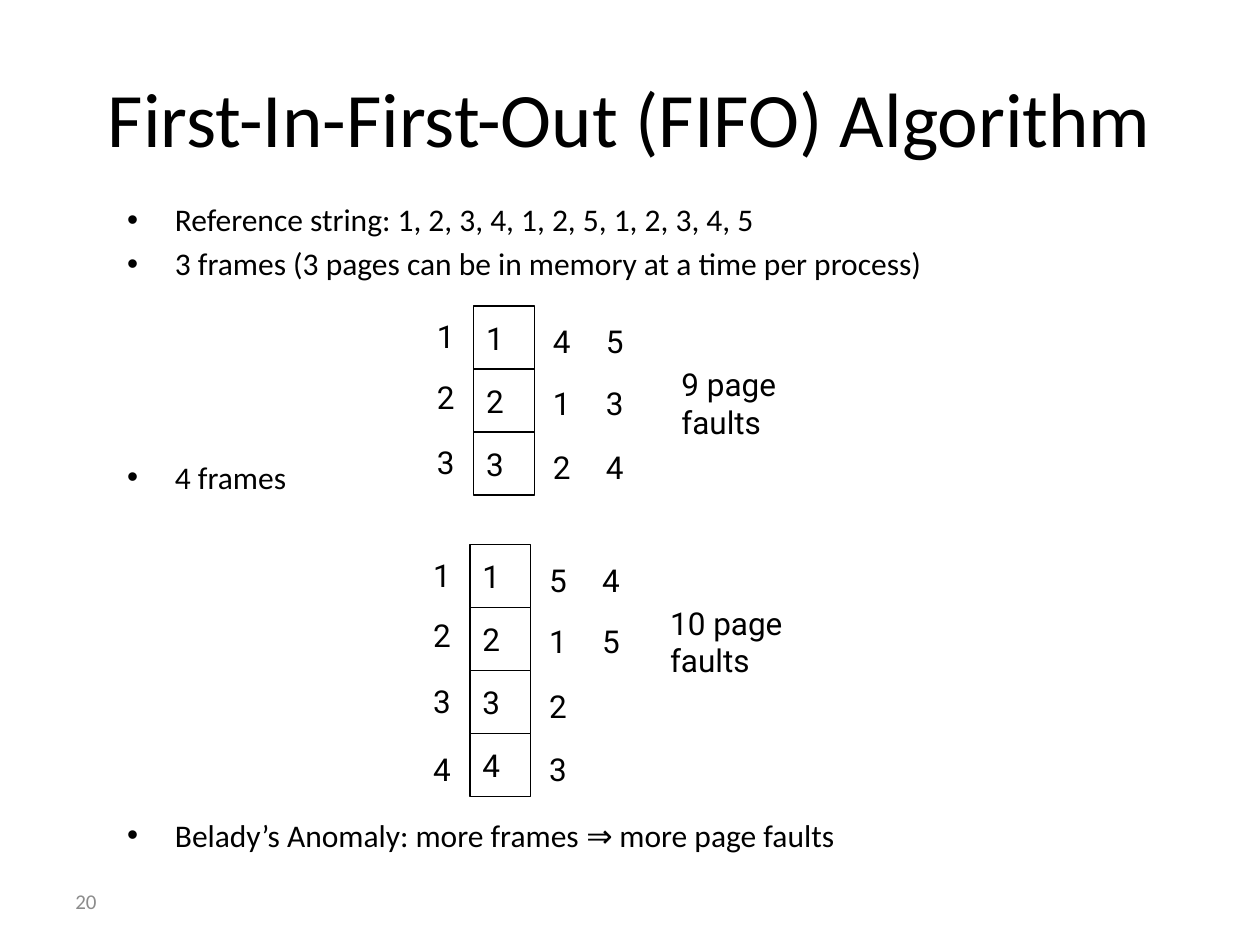
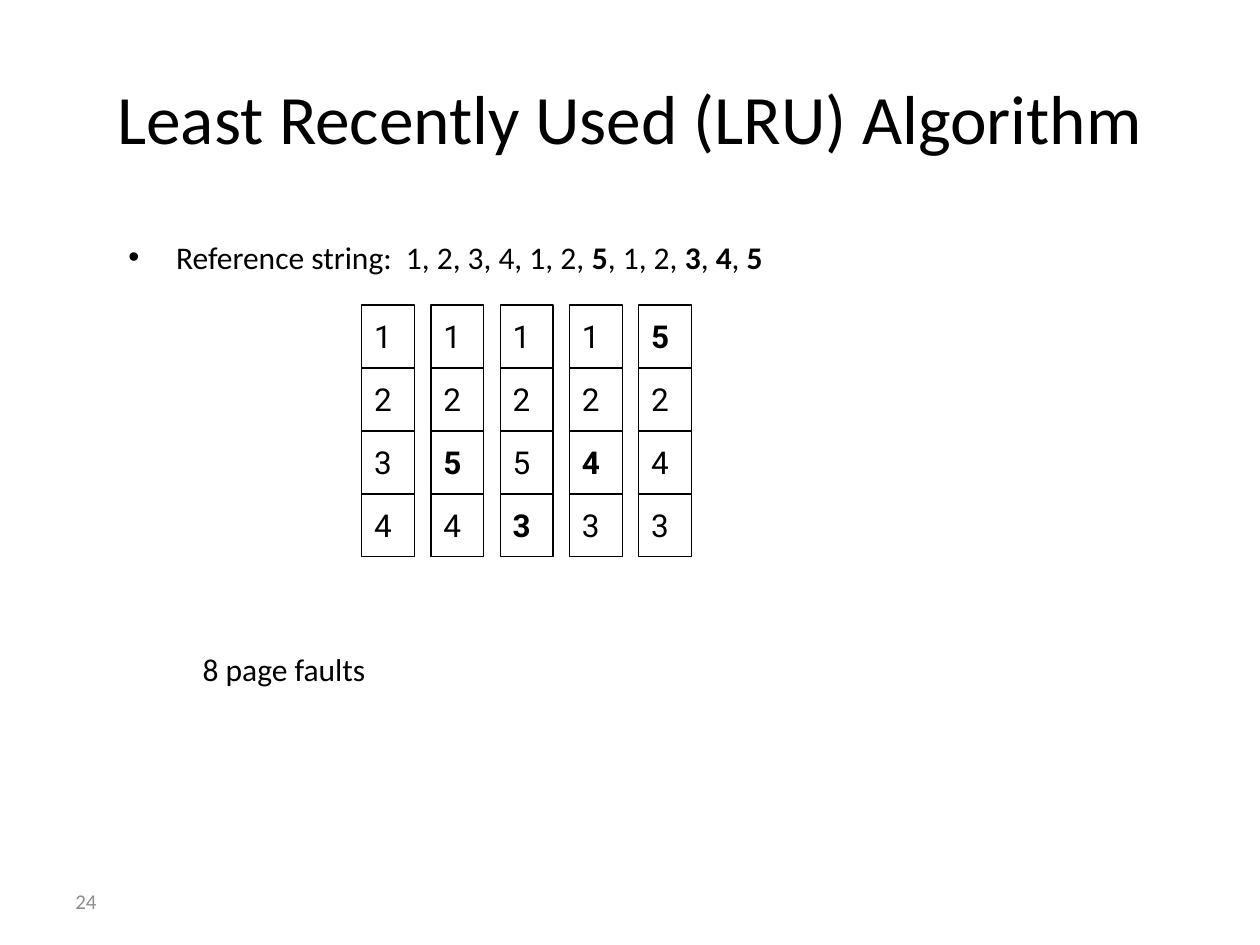
from pptx import Presentation
from pptx.dml.color import RGBColor
from pptx.enum.shapes import MSO_SHAPE
from pptx.enum.text import MSO_ANCHOR, MSO_AUTO_SIZE, PP_ALIGN
from pptx.oxml.ns import qn
from pptx.util import Inches, Pt

BLACK = RGBColor(0x00, 0x00, 0x00)
WHITE = RGBColor(0xFF, 0xFF, 0xFF)
GREY = RGBColor(0x8C, 0x8C, 0x8C)
RECT = MSO_SHAPE.RECTANGLE
TOP, MID = MSO_ANCHOR.TOP, MSO_ANCHOR.MIDDLE
LEFT, CENTER = PP_ALIGN.LEFT, PP_ALIGN.CENTER
BODY, DIGIT = "Calibri", "Roboto"
CELL = 0.5  # height of one memory frame


def write(shape, *lines, size=18, font=BODY, color=BLACK, align=LEFT,
          anchor=MID, gaps=(), bullet=False, right=0.1):
    """Fill a shape with paragraphs; asterisks switch bold on and off."""
    frame = shape.text_frame
    frame.word_wrap = True
    frame.auto_size = MSO_AUTO_SIZE.NONE
    frame.vertical_anchor = anchor
    frame.margin_right = Inches(right)
    for i, line in enumerate(lines):
        para = frame.add_paragraph() if i else frame.paragraphs[0]
        para.alignment = align
        if i and gaps:
            para.space_before = Pt(gaps[i - 1])
        if bullet:
            props = para._p.get_or_add_pPr()
            props.set("marL", str(Inches(0.38)))
            props.set("indent", str(Inches(-0.38)))
            face = props.makeelement(qn("a:buFont"), {"typeface": "Arial"})
            mark = props.makeelement(qn("a:buChar"), {"char": "•"})
            props.extend([face, mark])
        for j, part in enumerate(line.split("*")):
            if part:
                run = para.add_run()
                run.text = part
                run.font.name = font
                run.font.size = Pt(size)
                run.font.color.rgb = color
                run.font.bold = j % 2 == 1


def place(page, x, y, w, h, cell=False):
    """Add a text box, or a framed cell, measured in inches."""
    area = Inches(x), Inches(y), Inches(w), Inches(h)
    if not cell:
        return page.shapes.add_textbox(*area)
    box = page.shapes.add_shape(RECT, *area)
    box.shadow.inherit = False
    box.fill.solid()
    box.fill.fore_color.rgb = WHITE
    box.line.color.rgb = BLACK
    box.line.width = Pt(0.75)
    return box


deck = Presentation()
deck.slide_width, deck.slide_height = Inches(10), Inches(7.5)

# Titles and page numbers
pages = []
for name, size, number in (
    ("First-In-First-Out (FIFO) Algorithm", 44, "20"),
    ("Least Recently Used (LRU) Algorithm", 39.6, "24"),
):
    page = deck.slides.add_slide(deck.slide_layouts[5])
    title = page.shapes.title
    title.left, title.top = Inches(0.5), Inches(0.3)
    title.width, title.height = Inches(9), Inches(1.25)
    write(title, name, size=size, align=CENTER)
    write(place(page, 0.5, 6.95, 2.33, 0.4), number, size=12, color=GREY)
    pages.append(page)
fifo, lru = pages

# FIFO: bullets, spaced to leave room for the two diagrams
write(place(fifo, 0.91, 1.54, 8.89, 5.9),
      "Reference string: 1, 2, 3, 4, 1, 2, 5, 1, 2, 3, 4, 5",
      "3 frames (3 pages can be in memory at a time per process)",
      "4 frames",
      "Belady’s Anomaly: more frames ⇒ more page faults",
      gaps=(3.6, 100.3, 183.2), bullet=True, anchor=TOP)

# FIFO: frame columns with the pages that pass through them
LABELS = (0.04, 0.52, 1.04, 1.58)
LOADS = (0.08, 0.57, 1.08, 1.58)
for x, y, first, second, third, faults, shift, wide in (
    (3.76, 2.43, "123", "412", "534", "9 page faults", 1.55, 1.63),
    (3.73, 4.32, "1234", "5123", "45", "10 page faults", 1.49, 1.77),
):
    for row, digit in enumerate(first):
        write(place(fifo, x, y + row * CELL, 0.48, CELL, cell=True),
              digit, font=DIGIT)
    for dx, drops, digits in ((-0.39, LABELS, first),
                              (0.53, LOADS, second),
                              (0.95, LOADS, third)):
        for drop, digit in zip(drops, digits):
            write(place(fifo, x + dx, y + drop, 0.34, 0.4),
                  digit, font=DIGIT)
    write(place(fifo, x + shift, y + 0.57, wide, 0.4),
          faults, font=DIGIT, right=0.4)

# LRU: reference string
write(place(lru, 0.92, 1.84, 8.04, 4.9),
      "Reference string:  1, 2, 3, 4, 1, 2, *5*, 1, 2, *3*, *4*, *5*",
      bullet=True, anchor=TOP)

# LRU: memory after each fault, the new page in bold
states = ("1 2 3 4", "1 2 *5* 4", "1 2 5 *3*", "1 2 *4* 3", "*5* 2 4 3")
for col, state in enumerate(states):
    for row, digit in enumerate(state.split()):
        write(place(lru, 2.87 + col * 0.55, 2.42 + row * CELL, 0.42, CELL,
                    cell=True), digit, font=DIGIT)

write(place(lru, 1.51, 5.11, 1.63, 0.4), "8 page faults", anchor=TOP)

deck.save("out.pptx")
